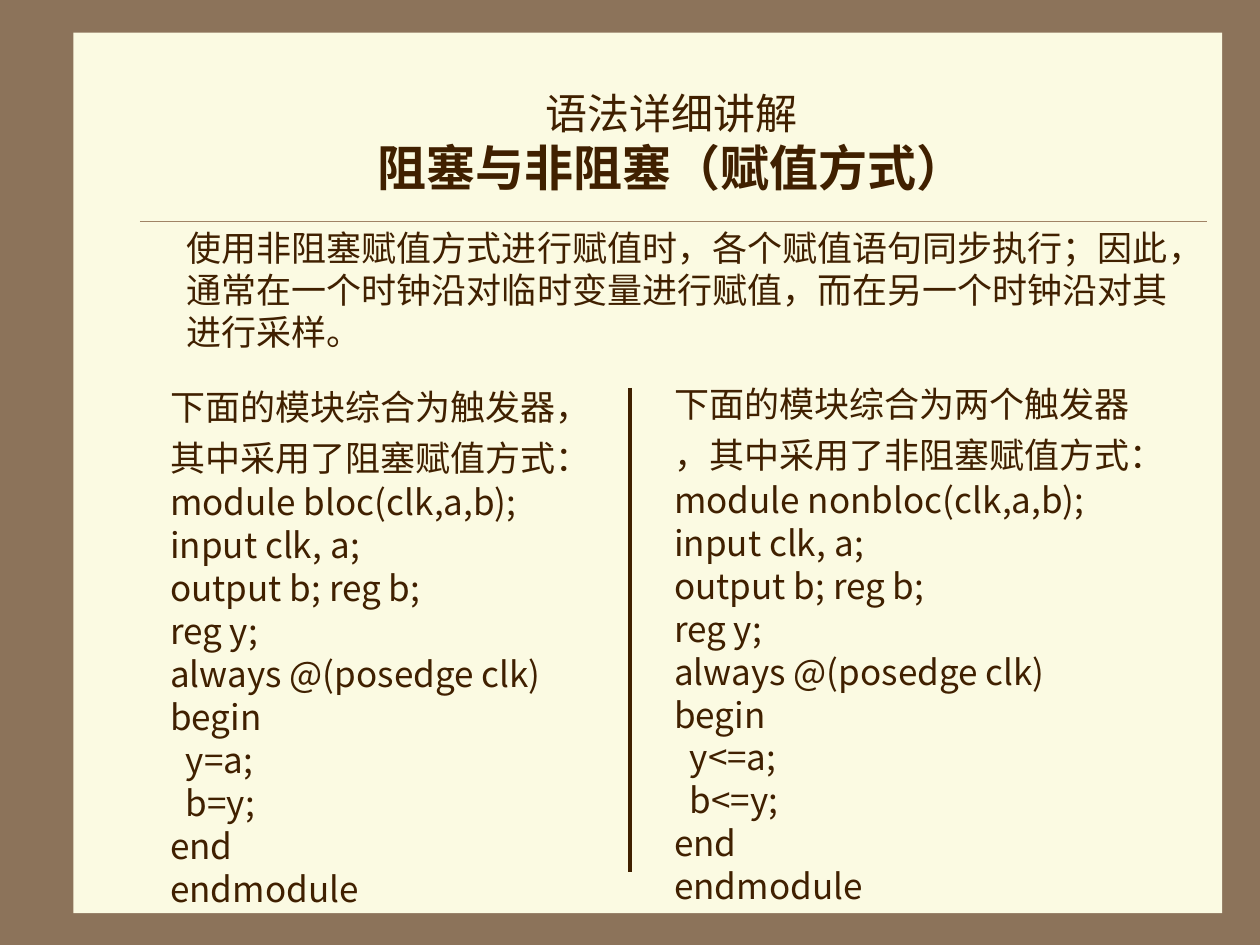
from dataclasses import dataclass

from lxml.etree import SubElement
from pptx import Presentation
from pptx.dml.color import RGBColor as RGB
from pptx.enum.shapes import MSO_CONNECTOR as Connector, MSO_SHAPE as Shape
from pptx.enum.text import MSO_ANCHOR as Anchor, PP_ALIGN as Align
from pptx.oxml.ns import qn
from pptx.util import Cm, Pt


@dataclass(frozen=True)
class Theme:
    frame: RGB = RGB(0x8C, 0x73, 0x5A)
    paper: RGB = RGB(0xFB, 0xFA, 0xE2)
    rule: RGB = RGB(0xA0, 0x83, 0x66)
    ink: RGB = RGB(0x40, 0x20, 0x00)
    sans: str = "Noto Sans CJK SC"
    serif: str = "Times New Roman"
    topic_size: int = 24
    title_size: int = 28
    text_size: int = 20


T = Theme()


def style_run(r, size, bold=False, latin=T.sans):
    r.font.size = Pt(size)
    r.font.bold = bold
    r.font.name = latin
    r.font.color.rgb = T.ink
    SubElement(r._r.get_or_add_rPr(), qn("a:ea"), typeface=T.sans)


def add_panel(s, left, top, width, height):
    sp = s.shapes.add_shape(Shape.RECTANGLE, Cm(left), Cm(top), Cm(width), Cm(height))
    sp.shadow.inherit = False
    sp.fill.solid()
    sp.fill.fore_color.rgb = T.paper
    sp.line.fill.background()


def add_line(s, x1, y1, x2, y2, color, weight):
    line = s.shapes.add_connector(Connector.STRAIGHT, Cm(x1), Cm(y1), Cm(x2), Cm(y2))
    line.line.color.rgb = color
    line.line.width = Pt(weight)
    SubElement(line._element.spPr, qn("a:effectLst"))


def add_box(s, left, top, width, height):
    sp = s.shapes.add_textbox(Cm(left), Cm(top), Cm(width), Cm(height))
    sp.text_frame.word_wrap = True
    return sp


def add_title(s, topic, title):
    sp = add_box(s, 2.74, 1.27, 21.59, 3.18)
    sp.fill.solid()
    sp.fill.fore_color.rgb = T.paper
    tf = sp.text_frame
    tf.vertical_anchor = Anchor.MIDDLE
    p = tf.paragraphs[0]
    p.text = f"{topic}\v{title}"
    p.alignment = Align.CENTER
    topic_run, title_run = p.runs
    style_run(topic_run, T.topic_size)
    style_run(title_run, T.title_size, bold=True)


def add_body(s, text):
    tf = add_box(s, 2.54, 4.45, 21.59, 11.43).text_frame
    tf.margin_left = Cm(1.22)
    tf.text = text
    style_run(tf.paragraphs[0].runs[0], T.text_size, latin=T.serif)


def add_column(s, left, top, width, intro, code):
    tf = add_box(s, left, top, width, 10.54).text_frame
    tf.text = "\n".join(intro + code)
    for i, p in enumerate(tf.paragraphs):
        p.line_spacing = 0.7 if i < len(intro) else 0.5
        p.space_before = Pt(12.5 if i else 0)
        style_run(p.runs[0], T.text_size)


def module_code(name, assign):
    return [
        f"module {name}(clk,a,b);",
        "input clk, a;",
        "output b; reg b;",
        "reg y;",
        "always @(posedge clk)",
        "begin",
        f"  y{assign}a;",
        f"  b{assign}y;",
        "end",
        "endmodule",
    ]


def main():
    prs = Presentation()
    prs.slide_width, prs.slide_height = Cm(25.4), Cm(19.05)
    s = prs.slides.add_slide(prs.slide_layouts[6])
    s.background.fill.solid()
    s.background.fill.fore_color.rgb = T.frame

    add_panel(s, 1.48, 0.66, 23.16, 17.75)
    add_line(s, 2.82, 4.45, 24.33, 4.45, T.rule, 0.25)
    add_body(s, "使用非阻塞赋值方式进行赋值时，各个赋值语句同步执行；因此，"
                "通常在一个时钟沿对临时变量进行赋值，而在另一个时钟沿对其进行采样。")
    add_title(s, "语法详细讲解", "阻塞与非阻塞（赋值方式）")
    add_column(s, 3.18, 7.87, 9.96,
               ["下面的模块综合为触发器，", "其中采用了阻塞赋值方式："],
               module_code("bloc", "="))
    add_line(s, 12.7, 7.82, 12.7, 17.58, T.ink, 2.25)
    add_column(s, 13.34, 7.82, 10.8,
               ["下面的模块综合为两个触发器", "，其中采用了非阻塞赋值方式："],
               module_code("nonbloc", "<="))
    prs.save("out.pptx")


if __name__ == "__main__":
    main()
